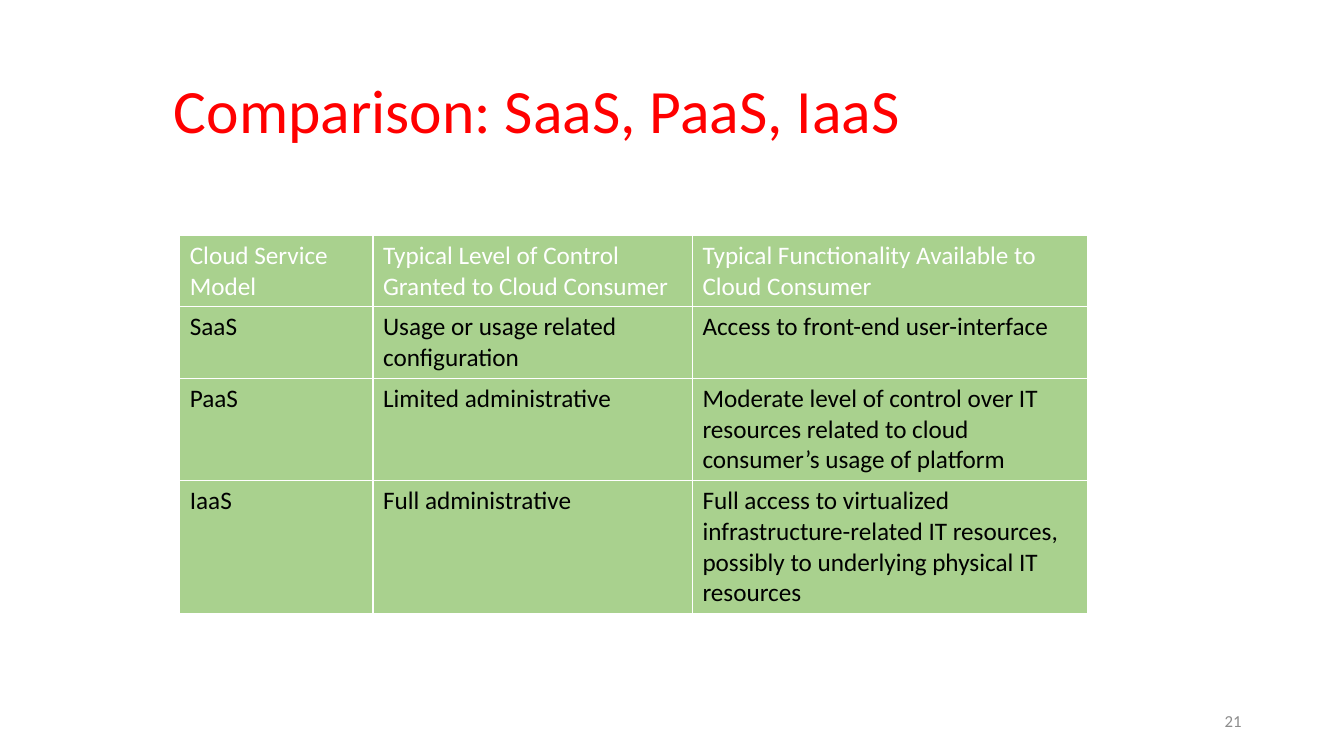
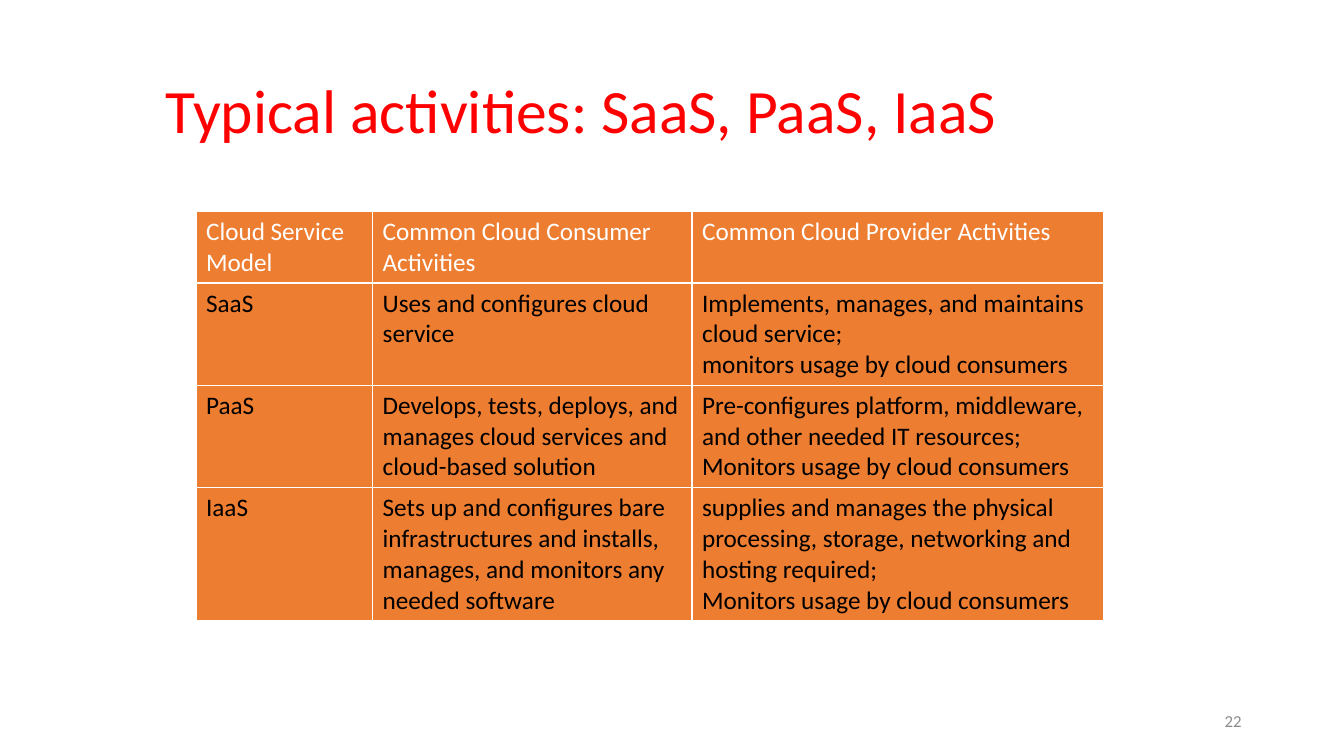
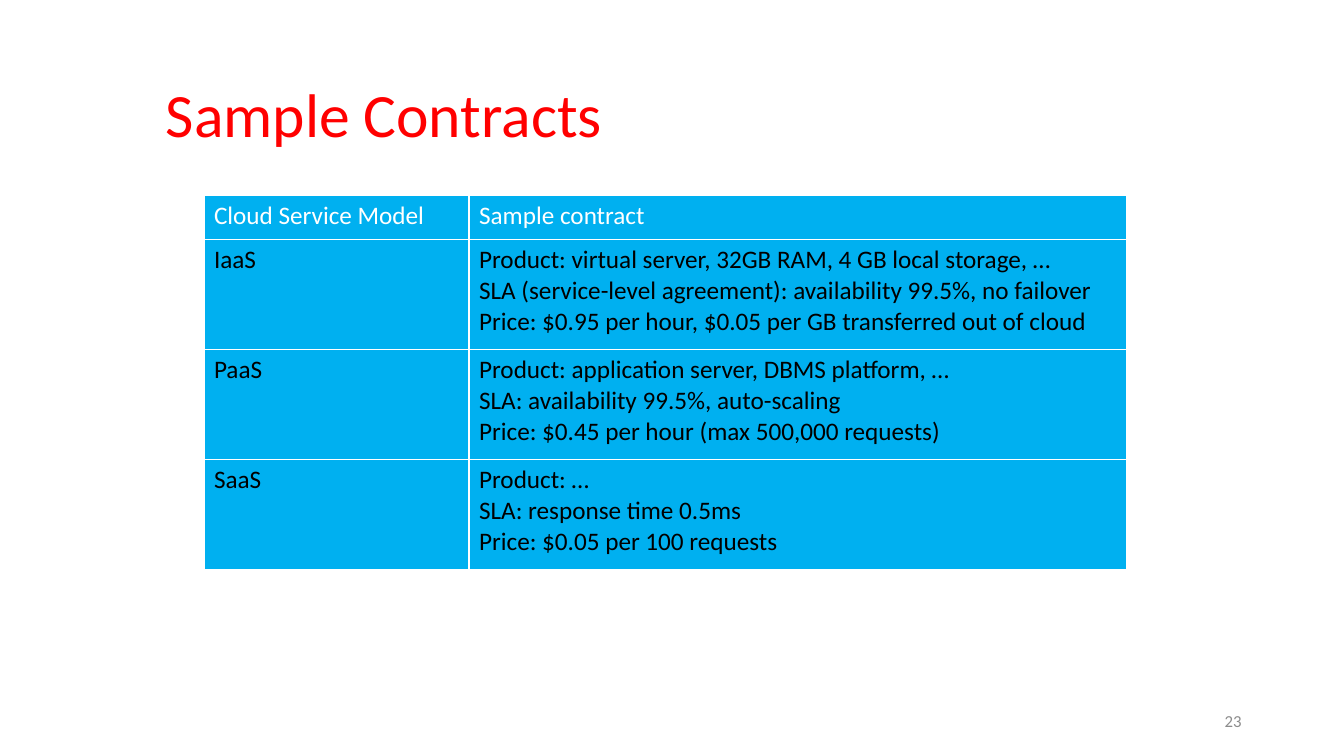
from pptx import Presentation
from pptx.dml.color import RGBColor
from pptx.enum.text import MSO_ANCHOR, PP_ALIGN
from pptx.util import Cm, Pt

# Shared style
FONT = "Calibri"
RED, GREY, WHITE, BLACK = "FF0000", "8C8C8C", "FFFFFF", "000000"
RIGHT_EDGE = 31.54
FIRST_NUMBER = 21


def add_run(p, text, size, color):
    r = p.add_run()
    r.text = text
    r.font.name = FONT
    r.font.size = Pt(size)
    r.font.bold = False
    r.font.color.rgb = RGBColor.from_string(color)


def add_line(s, left, top, height, text, size, color, align):
    """A single line of text in a box that ends at the right margin."""
    sp = s.shapes.add_textbox(Cm(left), Cm(top), Cm(RIGHT_EDGE - left), Cm(height))
    tf = sp.text_frame
    tf.word_wrap = True
    tf.vertical_anchor = MSO_ANCHOR.MIDDLE
    p = tf.paragraphs[0]
    p.alignment = align
    add_run(p, text, size, color)
    return p


# Content: lengths in cm, one list of paragraphs per line break in a cell
slides = [
    dict(
        title="Comparison: SaaS, PaaS, IaaS", title_at=(4.13, 1.01),
        fill="A9D18E", table_at=(4.53, 5.93),
        cols=[4.87, 8.05, 9.95], heights=[1.8, 1.8, 2.58, 3.36],
        rows=[
            ["Cloud Service Model",
             "Typical Level of Control Granted to Cloud Consumer",
             "Typical Functionality Available to Cloud Consumer"],
            ["SaaS", "Usage or usage related configuration",
             "Access to front-end user-interface"],
            ["PaaS", "Limited administrative",
             "Moderate level of control over IT resources related to cloud "
             "consumer’s usage of platform"],
            ["IaaS", "Full administrative",
             "Full access to virtualized infrastructure-related IT resources, "
             "possibly to underlying physical IT resources"],
        ]),
    dict(
        title="Typical activities: SaaS, PaaS, IaaS", title_at=(3.93, 1.01),
        fill="ED7D31", table_at=(4.94, 5.33),
        cols=[4.45, 8.05, 10.36], heights=[1.8, 2.58, 2.58, 3.36],
        rows=[
            ["Cloud Service Model", "Common Cloud Consumer Activities",
             "Common Cloud Provider Activities"],
            ["SaaS", "Uses and configures cloud service",
             "Implements, manages, and maintains cloud service;\n"
             "monitors usage by cloud consumers"],
            ["PaaS",
             "Develops, tests, deploys, and manages cloud services and "
             "cloud-based solution",
             "Pre-configures platform, middleware, and other needed IT resources;\n"
             "Monitors usage by cloud consumers"],
            ["IaaS",
             "Sets up and configures bare infrastructures and installs, "
             "manages, and monitors any needed software",
             "supplies and manages the physical processing, storage, networking "
             "and hosting required;\n"
             "Monitors usage by cloud consumers"],
        ]),
    dict(
        title="Sample Contracts", title_at=(3.93, 1.12),
        fill="00B0F0", table_at=(5.14, 4.93),
        cols=[6.68, 16.56], heights=[1.11, 2.77, 2.77, 2.77],
        rows=[
            ["Cloud Service Model", "Sample contract"],
            ["IaaS",
             "Product: virtual server, 32GB RAM, 4 GB local storage, …\n"
             "SLA (service-level agreement): availability 99.5%, no failover\n"
             "Price: $0.95 per hour, $0.05 per GB transferred out of cloud"],
            ["PaaS",
             "Product: application server, DBMS platform, …\n"
             "SLA: availability 99.5%, auto-scaling\n"
             "Price: $0.45 per hour (max 500,000 requests)"],
            ["SaaS",
             "Product: …\n"
             "SLA: response time 0.5ms\n"
             "Price: $0.05 per 100 requests"],
        ]),
]

prs = Presentation()
prs.slide_width, prs.slide_height = Cm(33.87), Cm(19.05)

for number, data in enumerate(slides, FIRST_NUMBER):
    s = prs.slides.add_slide(prs.slide_layouts[6])

    # Title
    p = add_line(s, *data["title_at"], 3.68, data["title"], 44, RED, PP_ALIGN.LEFT)
    p.line_spacing = 0.9

    # Table: the default style draws the white rules
    rows, cols, heights = data["rows"], data["cols"], data["heights"]
    left, top = data["table_at"]
    table = s.shapes.add_table(len(rows), len(cols), Cm(left), Cm(top),
                               Cm(sum(cols)), Cm(sum(heights))).table
    for col, width in zip(table.columns, cols):
        col.width = Cm(width)
    for i, (row, height) in enumerate(zip(table.rows, heights)):
        row.height = Cm(height)
        for cell, text in zip(row.cells, rows[i]):
            cell.fill.solid()
            cell.fill.fore_color.rgb = RGBColor.from_string(data["fill"])
            tf = cell.text_frame
            for j, line in enumerate(text.split("\n")):
                p = tf.add_paragraph() if j else tf.paragraphs[0]
                add_run(p, line, 18, BLACK if i else WHITE)

    # Slide number
    add_line(s, 23.92, 17.65, 1.01, str(number), 12, GREY, PP_ALIGN.RIGHT)

prs.save("out.pptx")
